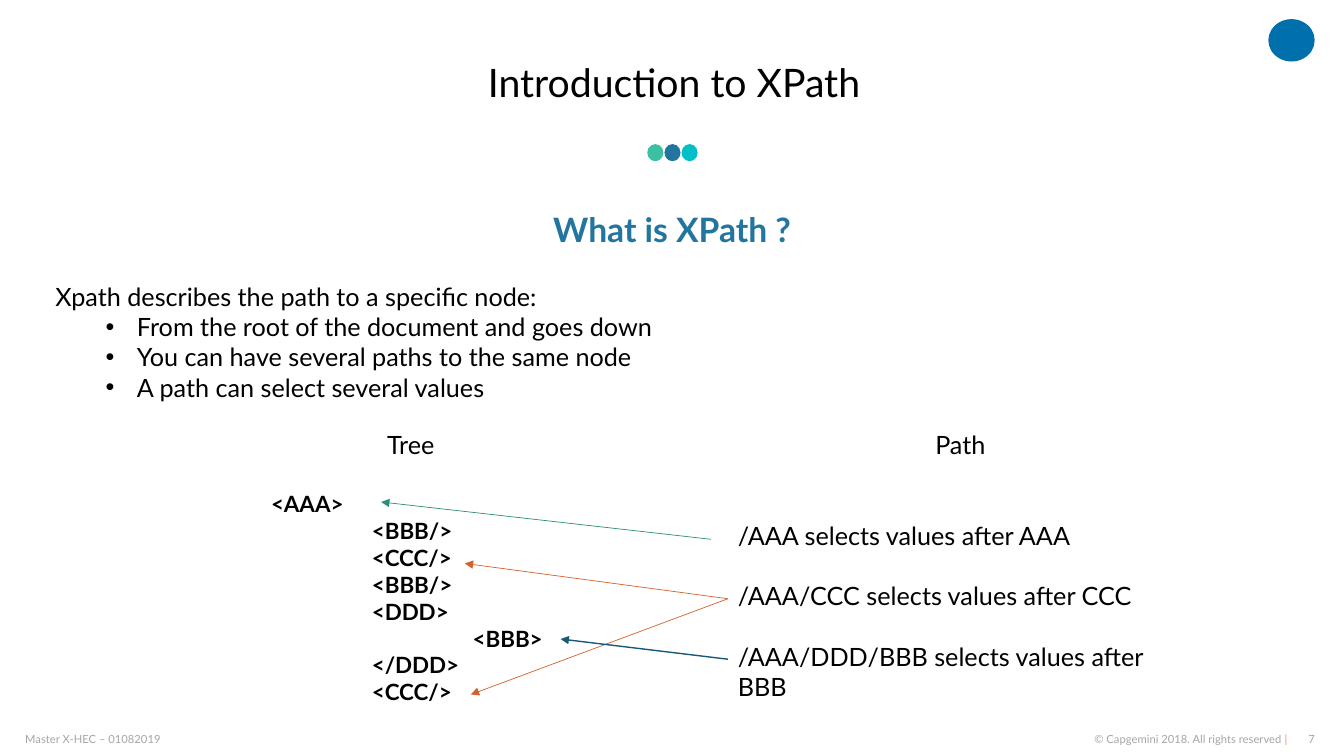
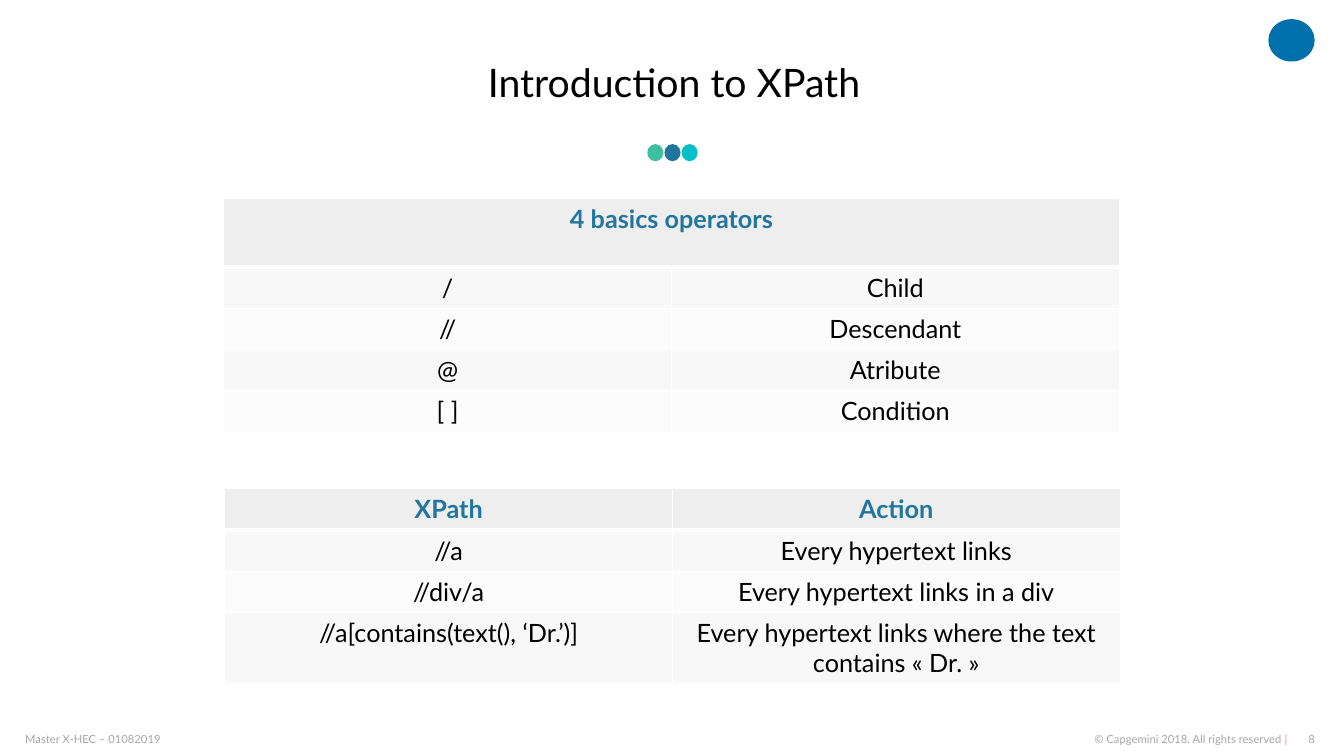
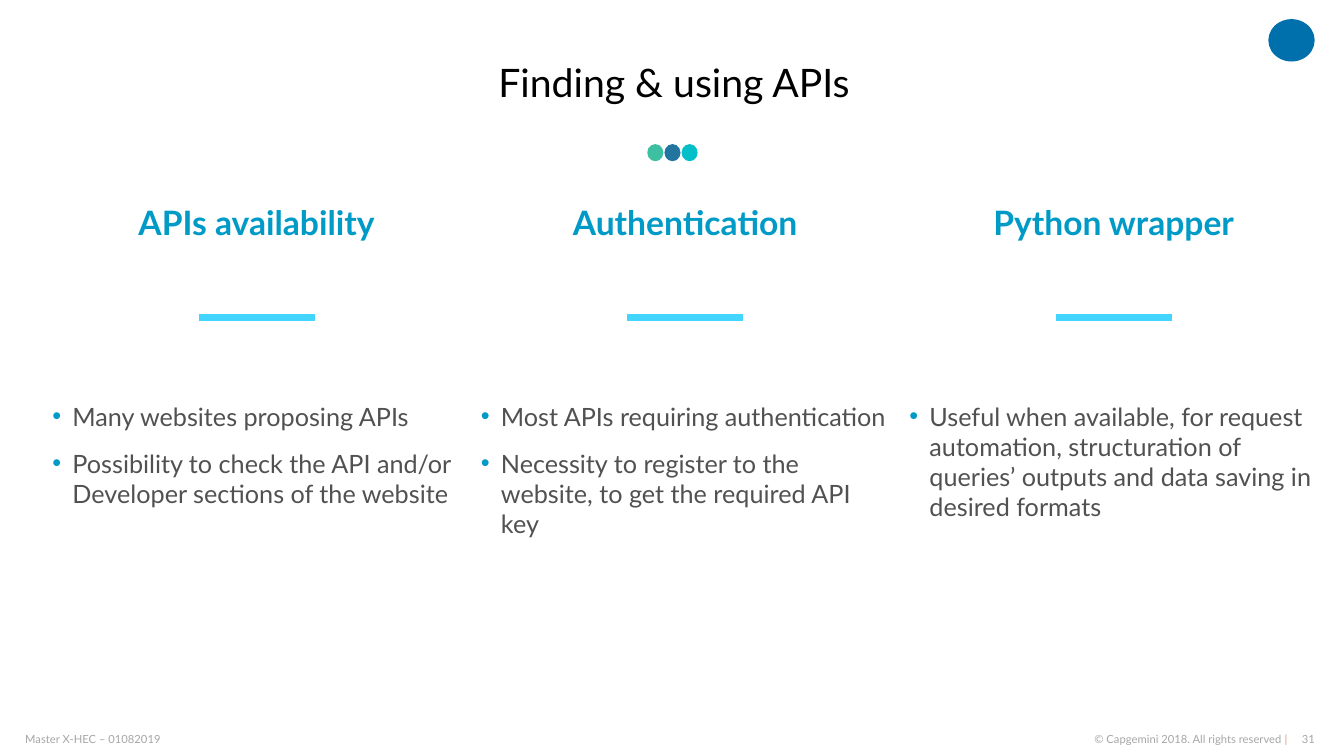
import pptx
import pptx.util
import pptx.dml.color
import pptx.enum.shapes
import pptx.enum.text
from lxml import etree
from pptx.oxml.ns import qn

Inches, Pt = pptx.util.Inches, pptx.util.Pt
hue = pptx.dml.color.RGBColor.from_string
SHAPE = pptx.enum.shapes.MSO_SHAPE
LEFT, MID, RIGHT = (pptx.enum.text.PP_ALIGN.LEFT, pptx.enum.text.PP_ALIGN.CENTER,
                    pptx.enum.text.PP_ALIGN.RIGHT)
TOP, CENTER = pptx.enum.text.MSO_ANCHOR.TOP, pptx.enum.text.MSO_ANCHOR.MIDDLE
FACE = "Lato"
BLACK, GREY, DARK, WHITE = "000000", "A6A6A6", "505150", "FFFFFF"
BLUE, SKY = "22759E", "009AC7"


def write(slide, box, lines, size, color, bold=False, align=LEFT, anchor=TOP,
          pad=True, mark=None):
    """Add a text box; a line is (text, left, hang), and a hang gives a bullet."""
    frame = slide.shapes.add_textbox(*map(Inches, box)).text_frame
    frame.word_wrap = True
    frame.vertical_anchor = anchor
    if not pad:
        frame.margin_left = frame.margin_right = 0
        frame.margin_top = frame.margin_bottom = 0
    for i, (text, left, hang) in enumerate(lines):
        para = frame.add_paragraph() if i else frame.paragraphs[0]
        para.text = text
        para.alignment = align
        prop = para._p.get_or_add_pPr()
        prop.set("marL", str(Inches(left)))
        prop.set("indent", str(Inches(-hang)))
        if hang:
            tint = etree.SubElement(prop, qn("a:buClr"))
            etree.SubElement(tint, qn("a:srgbClr"), val=mark or color)
            etree.SubElement(prop, qn("a:buFont"), typeface="Arial")
            etree.SubElement(prop, qn("a:buChar"), char="•")
        font = para.font
        font.name, font.size, font.bold = FACE, Pt(size), bold
        font.color.rgb = hue(color)
    return frame


def join(slide, start, end, color, width, arrow=False):
    """Draw a straight line, with an arrowhead at its end if asked."""
    line = slide.shapes.add_connector(pptx.enum.shapes.MSO_CONNECTOR.STRAIGHT,
                                      *map(Inches, start + end))
    line.line.color.rgb = hue(color)
    line.line.width = Pt(width)
    prop = line.element.spPr
    if arrow:
        etree.SubElement(prop.find(qn("a:ln")), qn("a:tailEnd"), type="triangle")
    etree.SubElement(prop, qn("a:effectLst"))


deck = pptx.Presentation()
deck.slide_width, deck.slide_height = Inches(13.33), Inches(7.5)

# Parts shared by all slides
dots = [((6.42 + 0.17 * i, 1.43, 0.16, 0.17), color)
        for i, color in enumerate(["3DBFA1", BLUE, "04BFC8"])]
badge = ((12.58, 0.19, 0.46, 0.42), "0070AD")
heads = [("Introduction to XPath", 7), ("Introduction to XPath", 8),
         ("Finding & using APIs", 31)]
for title, page in heads:
    slide = deck.slides.add_slide(deck.slide_layouts[6])
    frame = write(slide, (0.45, 0.27, 12.47, 1.14), [(title, 0, 0)], 28, BLACK,
                  align=MID, anchor=CENTER)
    frame.paragraphs[0].line_spacing = 0.9
    for box, color in [badge] + dots:
        oval = slide.shapes.add_shape(SHAPE.OVAL, *map(Inches, box))
        oval.shadow.inherit = False
        oval.fill.solid()
        oval.fill.fore_color.rgb = hue(color)
        oval.line.fill.background()
    for left, width, text, align in [
            (0.25, 5.16, "Master X-HEC – 01082019", LEFT),
            (9.86, 2.91, "© Capgemini 2018. All rights reserved ", RIGHT),
            (12.85, 0.19, str(page), RIGHT)]:
        frame = write(slide, (left, 7.27, width, 0.13), [(text, 0, 0)], 8, GREY,
                      align=align, anchor=CENTER, pad=False)
        if text.startswith("©"):
            bar = frame.paragraphs[0].add_run()
            bar.text = "|"
            bar.font.color.rgb = hue("E39774")
intro, rules, apis = deck.slides

# Slide 7: tree and paths
write(intro, (2.59, 1.8, 8.15, 0.94), [("What is XPath ?", 0, 0)], 24, BLUE, True,
      MID, CENTER)
write(intro, (0.45, 2.74, 6.21, 1.35), [
    ("Xpath describes the path to a specific node:", 0, 0),
    ("From the root of the document and goes down", 0.81, 0.31),
    ("You can have several paths to the same node", 0.81, 0.31),
    ("A path can select several values", 0.81, 0.31)], 18, BLACK)
tree = write(intro, (2.59, 4.21, 2.97, 2.85), [
    ("Tree", 0, 0), ("<AAA>", 0, 0), ("<BBB/>", 1, 0), ("<CCC/>", 1, 0),
    ("<BBB/>", 1, 0), ("<DDD>", 1, 0), ("<BBB>", 2, 0), ("</DDD>", 1, 0),
    ("<CCC/>", 1, 0)], 18, BLACK)
for para in tree.paragraphs[1:]:
    para.font.size, para.font.bold = Pt(16), True
ways = write(intro, (7.22, 4.21, 4.61, 2.52), [
    ("Path", 0, 0),
    ("/AAA selects values after AAA", 0, 0),
    ("/AAA/CCC selects values after CCC", 0, 0),
    ("/AAA/DDD/BBB selects values after BBB", 0, 0)], 18, BLACK)
for frame, gaps in [(tree, [22]), (ways, [43.2, 21.6, 21.6])]:
    frame.paragraphs[0].alignment = MID
    for para, gap in zip(frame.paragraphs[1:], gaps):
        para.space_before = Pt(gap)
for start, end, color, width in [
        ((7.05, 5.35), (3.78, 4.98), "2E8F79", 0.5),
        ((7.22, 5.94), (4.61, 5.59), "D5622D", 0.5),
        ((7.22, 5.94), (4.67, 6.89), "D5622D", 0.5),
        ((7.22, 6.54), (5.56, 6.34), "195876", 1)]:
    join(intro, start, end, color, width, True)

# Slide 8: two tables
basics = [("4 basics operators", ""), ("/", "Child"), ("//", "Descendant"),
          ("@", "Atribute"), ("[ ]", "Condition")]
uses = [("XPath", "Action"), ("//a", "Every hypertext links"),
        ("//div/a", "Every hypertext links in a div"),
        ("//a[contains(text(), ‘Dr.’)]",
         "Every hypertext links where the text contains « Dr. »")]
for left, top, rows, tall in [(2.22, 1.97, basics, 0), (2.23, 4.85, uses, 3)]:
    high = 0.41 * len(rows) + 0.27
    grid = rules.shapes.add_table(len(rows), 2, Inches(left), Inches(top),
                                  Inches(8.88), Inches(high)).table
    for r, row in enumerate(rows):
        grid.rows[r].height = Inches(0.68 if r == tall else 0.41)
        for c, text in enumerate(row):
            cell = grid.cell(r, c)
            prop = cell._tc.get_or_add_tcPr()
            for side in "LRTB":
                thick = (r, side) in [(0, "B"), (1, "T")]
                edge = etree.SubElement(prop, qn("a:ln" + side),
                                        w=str(Pt(3 if thick else 1)))
                fill = etree.SubElement(edge, qn("a:solidFill"))
                etree.SubElement(fill, qn("a:srgbClr"), val=WHITE)
            cell.fill.solid()
            cell.fill.fore_color.rgb = hue(
                "EEEEEE" if r == 0 else "F8F8F8" if r % 2 else "FCFCFC")
            if not text:
                continue
            cell.text = text
            para = cell.text_frame.paragraphs[0]
            para.alignment = MID
            para.font.name, para.font.size = FACE, Pt(18)
            para.font.bold = r == 0
            para.font.color.rgb = hue(BLUE if r == 0 else BLACK)
    if not rows[0][1]:
        grid.cell(0, 0).merge(grid.cell(0, 1))

# Slide 31: three columns
parts = [
    ("APIs availability", [
        "Many websites proposing APIs",
        "Possibility to check the API and/or Developer sections of the website"]),
    ("Authentication", [
        "Most APIs requiring authentication",
        "Necessity to register to the website, to get the required API key"]),
    ("Python wrapper", [
        "Useful when available, for request automation, structuration of "
        "queries’ outputs and data saving in desired formats"])]
wide = 4.25
for i, (head, items) in enumerate(parts):
    left = 0.42 + wide * i
    write(apis, (left, 1.42, wide, 1.56), [(head, 0, 0)], 24, SKY, True, MID, CENTER)
    frame = write(apis, (left, 3.93, wide, 2.76),
                  [(item, 0.2, 0.2) for item in items], 18, DARK, mark=SKY)
    for para in frame.paragraphs:
        para.space_after = Pt(12)
    join(apis, (left + 1.55, 3.15), (left + 2.7, 3.15), "44D5FF", 4.5)

deck.save("out.pptx")
